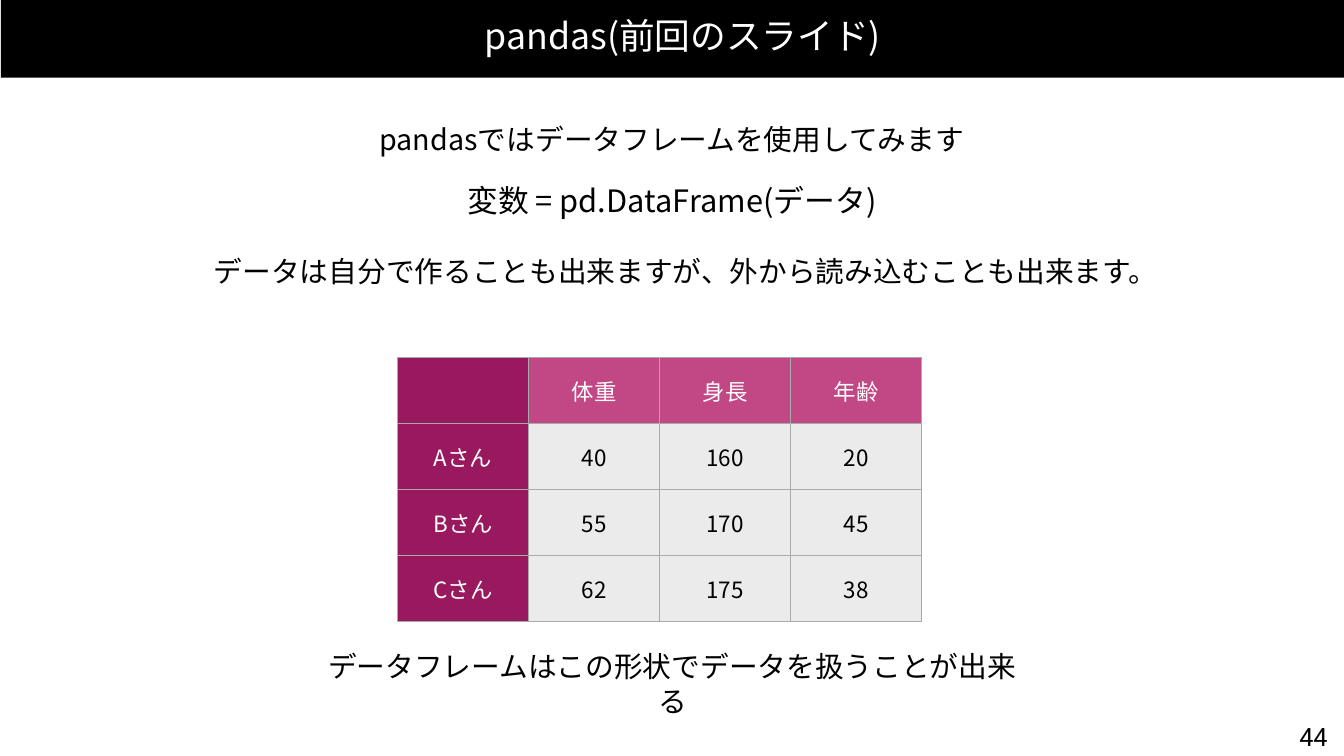
from pptx import Presentation
from pptx.dml.color import RGBColor
from pptx.enum.shapes import MSO_SHAPE as Shape
from pptx.enum.text import MSO_ANCHOR as Anchor, MSO_AUTO_SIZE as AutoSize, PP_ALIGN as Align
from pptx.oxml.ns import qn
from pptx.util import Emu, Pt
from lxml.etree import SubElement

PX_PER_INCH = 100
SCALE = 914400 // PX_PER_INCH
INSET = 6
COLORS = {
    "black": "000000",
    "white": "FFFFFF",
    "header": "C24785",
    "index": "99195E",
    "body": "EBEBEB",
    "border": "A6AAA9",
}
FONT = "Noto Sans CJK JP"
PEOPLE = [
    ["", "体重", "身長", "年齢"],
    ["Aさん", "40", "160", "20"],
    ["Bさん", "55", "170", "45"],
    ["Cさん", "62", "175", "38"],
]


def px(length):
    """Turn px into EMU."""
    return Emu(length * SCALE)


def rgb(name):
    """Look up a colour by name."""
    return RGBColor.from_string(COLORS[name])


def write(frame, text, size, color, font=FONT):
    """Put one centred, formatted line into a text frame."""
    frame.text = text
    para = frame.paragraphs[0]
    para.alignment = Align.CENTER
    for span in para.runs:
        span.font.size = Pt(size)
        span.font.name = font
        span.font.color.rgb = rgb(color)
        SubElement(span.font._element, qn("a:ea"), typeface=font)


def fit(frame, wrap, anchor):
    """Set insets, wrapping and growth of a text frame."""
    frame.margin_left = frame.margin_right = px(INSET)
    frame.margin_top = frame.margin_bottom = px(INSET)
    frame.word_wrap = wrap
    frame.auto_size = AutoSize.SHAPE_TO_FIT_TEXT
    frame.vertical_anchor = anchor


def add_bar(page, box):
    """Add a plain black rectangle."""
    bar = page.shapes.add_shape(Shape.RECTANGLE, *map(px, box))
    bar.shadow.inherit = False
    bar.fill.solid()
    bar.fill.fore_color.rgb = rgb("black")
    bar.line.fill.background()
    return bar


def add_title(page, box, text):
    """Add the title band with its heading."""
    left, top, width, height = box
    add_bar(page, box)
    heading = add_bar(page, (left + 647, top + 29, 1412, 83))
    fit(heading.text_frame, True, Anchor.MIDDLE)
    write(heading.text_frame, text, 51, "white")


def add_line(page, box, text, size, font=FONT, anchor=Anchor.MIDDLE):
    """Add one unwrapped line of text."""
    frame = page.shapes.add_textbox(*map(px, box)).text_frame
    fit(frame, False, anchor)
    write(frame, text, size, "black", font)


def style_cell(cell, fill):
    """Give a cell its borders, insets and fill."""
    properties = cell._tc.get_or_add_tcPr()
    for side in ("lnL", "lnR", "lnT", "lnB"):
        line = SubElement(properties, qn(f"a:{side}"), w=str(Pt(1)))
        paint = SubElement(line, qn("a:solidFill"))
        SubElement(paint, qn("a:srgbClr"), val=COLORS["border"])
    cell.margin_left = cell.margin_right = px(INSET)
    cell.margin_top = cell.margin_bottom = px(INSET)
    cell.vertical_anchor = Anchor.MIDDLE
    cell.fill.solid()
    cell.fill.fore_color.rgb = rgb(fill)


def add_data_frame(page, box, rows):
    """Add the table with a header row and an index column."""
    left, top, width, height = box
    table = page.shapes.add_table(len(rows), len(rows[0]), *map(px, box)).table
    table.horz_banding = False
    table.first_col = True
    for column in table.columns:
        column.width = px(width // len(rows[0]))
    for row in table.rows:
        row.height = px(height // len(rows))
    for r, values in enumerate(rows):
        for c, value in enumerate(values):
            fill = "index" if c == 0 else "header" if r == 0 else "body"
            cell = table.cell(r, c)
            style_cell(cell, fill)
            write(cell.text_frame, value, 32, "black" if fill == "body" else "white")


def main():
    """Build the slide and save it."""
    deck = Presentation()
    deck.slide_width, deck.slide_height = px(2667), px(1500)
    page = deck.slides.add_slide(deck.slide_layouts[6])
    add_title(page, (2, -1, 2667, 155), "pandas(前回のスライド)")
    add_line(page, (744, 242, 1179, 69), "pandasではデータフレームを使用してみます", 41)
    add_line(page, (876, 361, 915, 72), "変数 = pd.DataFrame(データ)", 44)
    add_line(page, (390, 504, 1886, 69), "データは自分で作ることも出来ますが、外から読み込むことも出来ます。", 41)
    add_data_frame(page, (789, 709, 1042, 526), PEOPLE)
    add_line(page, (618, 1322, 1433, 69), "データフレームはこの形状でデータを扱うことが出来る", 41)
    add_line(page, (2569, 1425, 75, 72), "44", 36, "Roboto", Anchor.TOP)
    deck.save("out.pptx")


if __name__ == "__main__":
    main()
